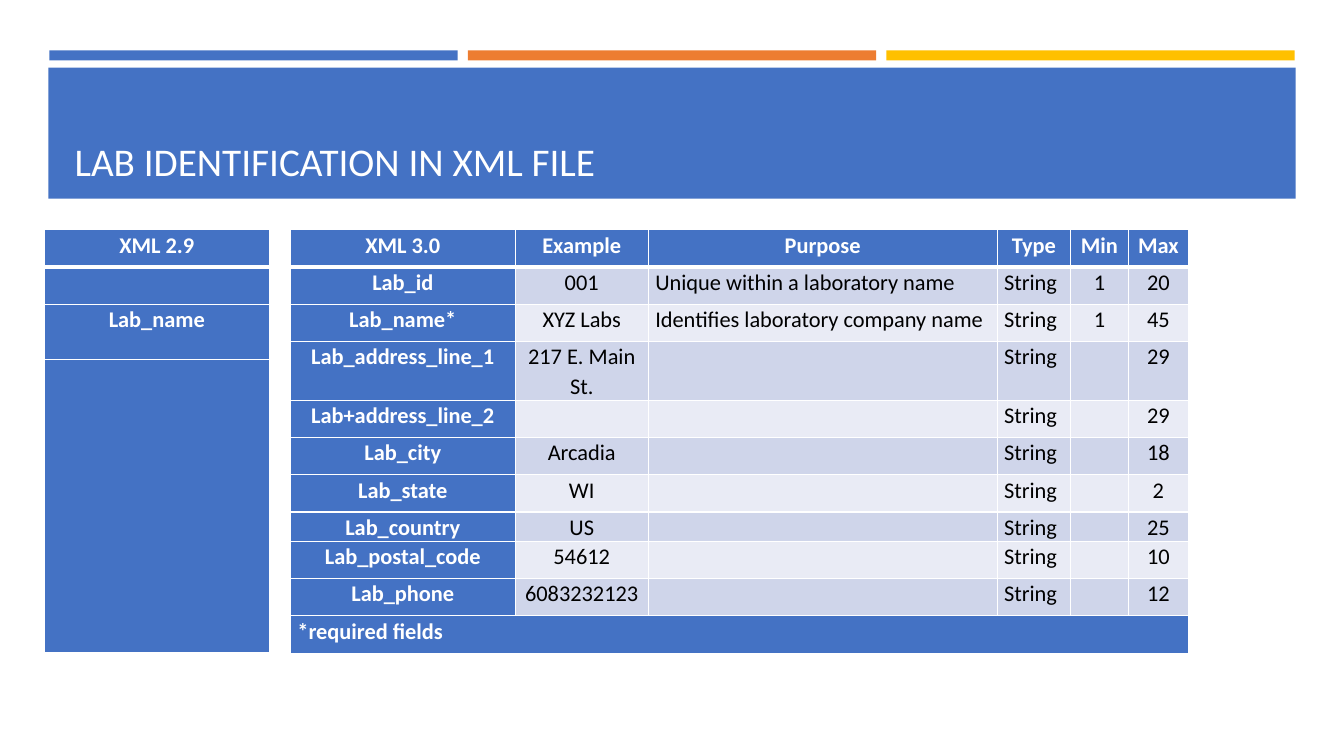
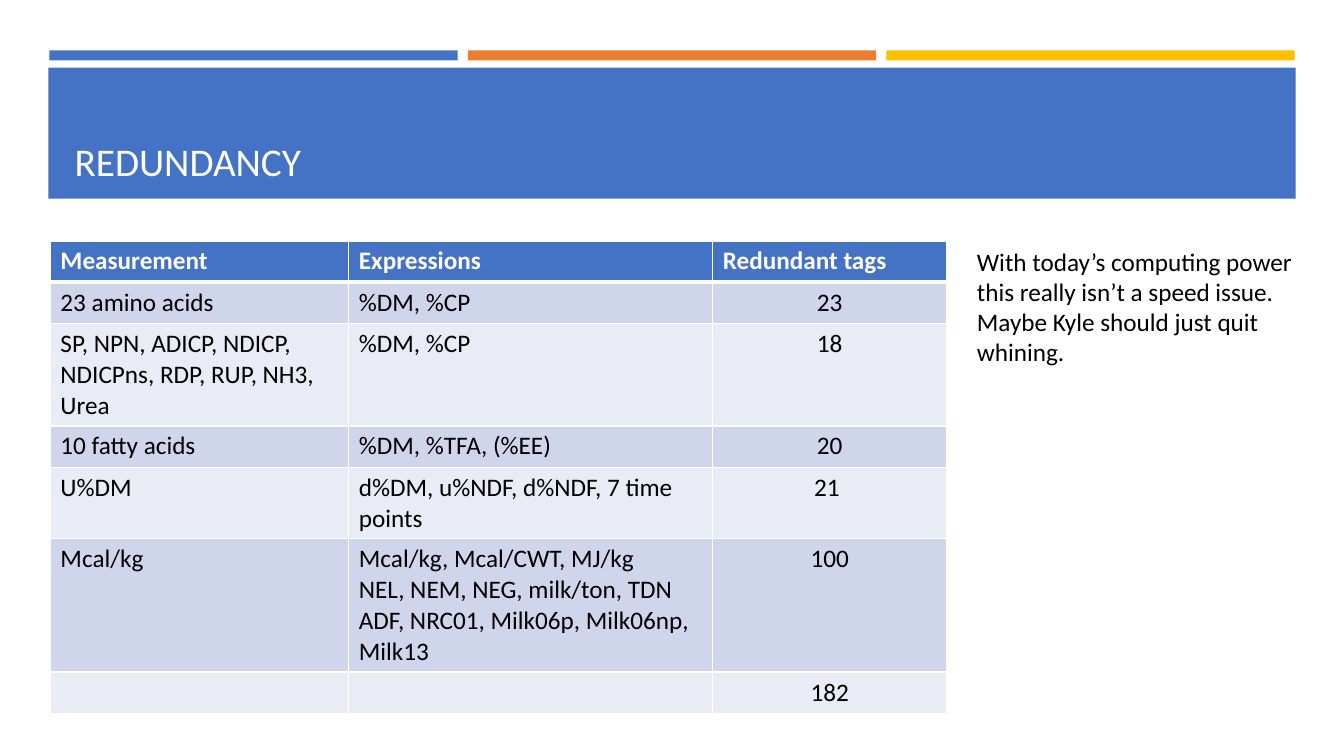
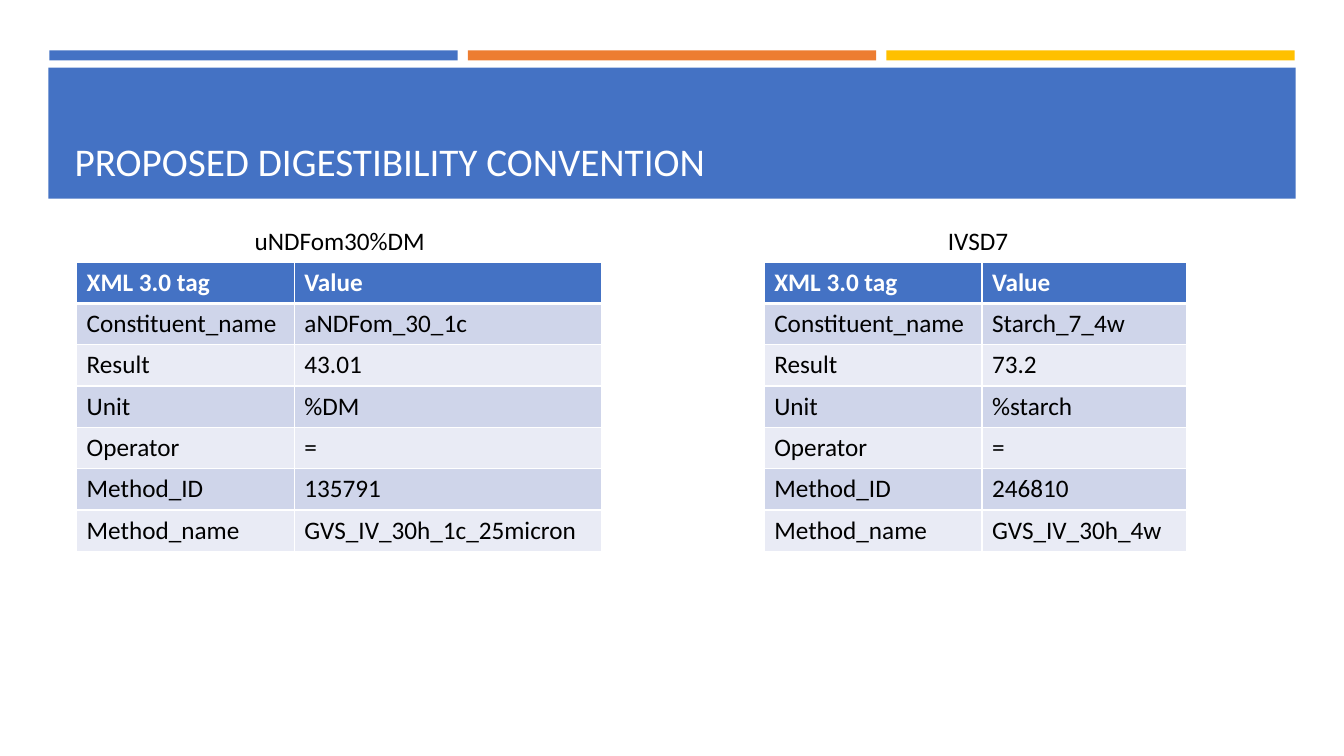
from dataclasses import dataclass

from lxml import etree
from pptx import Presentation
from pptx.dml.color import RGBColor
from pptx.enum.shapes import MSO_SHAPE, PP_PLACEHOLDER
from pptx.enum.text import MSO_ANCHOR, MSO_AUTO_SIZE, PP_ALIGN
from pptx.oxml.ns import qn
from pptx.util import Inches, Pt

RECTANGLE = MSO_SHAPE.RECTANGLE
TITLE = PP_PLACEHOLDER.TITLE
BOTTOM = MSO_ANCHOR.BOTTOM
FIXED_SIZE = MSO_AUTO_SIZE.NONE
GROW = MSO_AUTO_SIZE.SHAPE_TO_FIT_TEXT
ALIGN = {"l": PP_ALIGN.LEFT, "c": PP_ALIGN.CENTER}
TITLE_ONLY = 5


@dataclass(frozen=True)
class Theme:
    font: str = "Calibri"
    blue: str = "4472C4"
    orange: str = "ED7D31"
    gold: str = "FFC000"
    white: str = "FFFFFF"
    black: str = "000000"
    bands: tuple = ("E9EBF5", "CFD5EA")
    title_size: int = 28
    text_size: int = 18
    compact_size: int = 16
    border: int = 1
    header_border: int = 3


class Deck:
    """Holds the theme, the presentation and the slide being built."""

    def __init__(self, theme):
        self.theme = theme
        self.prs = Presentation()
        self.prs.slide_width = Inches(13.33)
        self.prs.slide_height = Inches(7.5)
        self.layout = self.prs.slide_layouts[TITLE_ONLY]
        self.slide = None

    def new_slide(self, title):
        self.slide = self.prs.slides.add_slide(self.layout)
        if len(self.prs.slides) == 1:
            self.furnish_layout()
        heading = self.slide.shapes.title
        place = dict(left=0.64, top=0.77, width=12.06, height=1.11)
        for side, length in place.items():
            setattr(heading, side, Inches(length))
        frame = heading.text_frame
        frame.auto_size = FIXED_SIZE
        frame.vertical_anchor = BOTTOM
        self.set_text(frame, title, self.theme.title_size, self.theme.white)

    def furnish_layout(self):
        """Put the coloured bands on the layout, behind its title."""
        for holder in list(self.layout.placeholders):
            if holder.placeholder_format.type != TITLE:
                self.layout.shapes.element.remove(holder.element)
        theme = self.theme
        for i, color in enumerate((theme.blue, theme.orange, theme.gold)):
            self.layout_band((0.49 + 4.15 * i, 0.5, 4.05, 0.1), color)
        self.layout_band((0.48, 0.67, 12.37, 1.3), theme.blue)

    def layout_band(self, at, color):
        band = self.slide.shapes.add_shape(RECTANGLE, *map(Inches, at))
        band.shadow.inherit = False
        band.fill.solid()
        band.fill.fore_color.rgb = RGBColor.from_string(color)
        band.line.fill.background()
        self.layout.shapes.element.insert(2, band.element)

    def set_text(self, frame, text, size, color, align="l", bold=False, spacing=None):
        paragraph = frame.paragraphs[0]
        paragraph.text = text
        paragraph.alignment = ALIGN[align]
        if spacing:
            paragraph.line_spacing = spacing
        style = dict(name=self.theme.font, size=Pt(size), bold=bold)
        for run in paragraph.runs or [paragraph.add_run()]:
            for key, value in style.items():
                setattr(run.font, key, value)
            run.font.color.rgb = RGBColor.from_string(color)

    def text(self, at, text, align="l"):
        frame = self.slide.shapes.add_textbox(*map(Inches, at)).text_frame
        frame.word_wrap = True
        frame.auto_size = GROW
        self.set_text(frame, text, self.theme.text_size, self.theme.black, align)

    def border_cell(self, cell, row):
        theme = self.theme
        widths = dict.fromkeys(("lnL", "lnR", "lnT", "lnB"), theme.border)
        if row < 2:
            widths["lnT" if row else "lnB"] = theme.header_border
        properties = cell._tc.get_or_add_tcPr()
        for side, width in widths.items():
            line = etree.SubElement(properties, qn(f"a:{side}"), w=str(Pt(width)))
            fill = etree.SubElement(line, qn("a:solidFill"))
            etree.SubElement(fill, qn("a:srgbClr"), val=theme.white)

    def table(self, left, top, widths, heights, rows, aligns,
              head_align="l", compact=False, labels=False):
        """Draw a banded table; labels makes column one a header column,
        and a row with a single text spans all columns as a footer."""
        theme = self.theme
        at = (left, top, sum(widths), sum(heights))
        grid = self.slide.shapes.add_table(
            len(rows), len(widths), *map(Inches, at)).table
        for column, width in zip(grid.columns, widths):
            column.width = Inches(width)
        for row, height in zip(grid.rows, heights):
            row.height = Inches(height)
        size = theme.compact_size if compact else theme.text_size
        margins = dict(margin_left=0.07, margin_right=0.07,
                       margin_top=0, margin_bottom=0) if compact else {}
        for r, texts in enumerate(rows):
            footer = len(texts) < len(widths)
            if footer:
                grid.cell(r, 0).merge(grid.cell(r, len(widths) - 1))
            for c, text in enumerate(texts):
                cell = grid.cell(r, c)
                strong = r == 0 or footer or (labels and c == 0)
                align = head_align if r == 0 else "l" if footer else aligns[c]
                for side, length in margins.items():
                    setattr(cell, side, Inches(length))
                self.border_cell(cell, r)
                cell.fill.solid()
                cell.fill.fore_color.rgb = RGBColor.from_string(
                    theme.blue if strong else theme.bands[r % 2])
                self.set_text(cell.text_frame, text, size,
                              theme.white if strong else theme.black,
                              align, strong, 1.07 if compact else None)


def lab_identification(deck):
    deck.new_slide("LAB IDENTIFICATION IN XML FILE")
    fields = [
        ("Lab_id", "001", "Unique within a laboratory name", "1", "20"),
        ("Lab_name*", "XYZ Labs", "Identifies laboratory company name", "1", "45"),
        ("Lab_address_line_1", "217 E. Main St.", "", "", "29"),
        ("Lab+address_line_2", "", "", "", "29"),
        ("Lab_city", "Arcadia", "", "", "18"),
        ("Lab_state", "WI", "", "", "2"),
        ("Lab_country", "US", "", "", "25"),
        ("Lab_postal_code", "54612", "", "", "10"),
        ("Lab_phone", "6083232123", "", "", "12"),
    ]
    rows = [("XML 3.0", "Example", "Purpose", "Type", "Min", "Max")]
    rows += [(*field[:3], "String", *field[3:]) for field in fields]
    rows.append(("*required fields",))
    shared = dict(head_align="c", compact=True, labels=True)
    deck.table(2.88, 2.28, (2.23, 1.32, 3.46, 0.73, 0.57, 0.6),
               [0.37] * 7 + [0.28] + [0.37] * 3, rows, "ccllcc", **shared)
    deck.table(0.44, 2.28, (2.23,), (0.37, 0.37, 0.55, 2.9),
               [("XML 2.9",), ("",), ("Lab_name",), ("",)], "c", **shared)


def redundancy(deck):
    deck.new_slide("REDUNDANCY")
    rows = [
        ("Measurement", "Expressions", "Redundant tags"),
        ("23 amino acids", "%DM, %CP", "23"),
        ("SP, NPN, ADICP, NDICP, NDICPns, RDP, RUP, NH3, Urea", "%DM, %CP", "18"),
        ("10 fatty acids", "%DM, %TFA, (%EE)", "20"),
        ("U%DM", "d%DM, u%NDF, d%NDF, 7 time points", "21 "),
        ("Mcal/kg", "Mcal/kg, Mcal/CWT, MJ/kg\nNEL, NEM, NEG, milk/ton, TDN\n"
                    "ADF, NRC01, Milk06p, Milk06np, Milk13", "100"),
        ("", "", "182"),
    ]
    deck.table(0.5, 2.39, (2.96, 3.61, 2.32), [0.41] * len(rows), rows, "llc")
    deck.text((9.59, 2.39, 3.42, 1.31),
              "With today’s computing power this really isn’t a speed issue. "
              "Maybe Kyle should just quit whining.")


def digestibility(deck):
    deck.new_slide("PROPOSED DIGESTIBILITY CONVENTION")
    tags = ("XML 3.0 tag", "Constituent_name", "Result", "Unit", "Operator",
            "Method_ID", "Method_name")
    examples = [
        ("uNDFom30%DM", 0.54, 0.76, 3.05,
         ("Value", "aNDFom_30_1c", "43.01", "%DM", "=", "135791",
          "GVS_IV_30h_1c_25micron")),
        ("IVSD7", 6.87, 7.58, 2.03,
         ("Value", "Starch_7_4w", "73.2", "%starch", "=", "246810",
          "GVS_IV_30h_4w")),
    ]
    for caption, caption_left, left, value_width, values in examples:
        deck.table(left, 2.6, (2.16, value_width), [0.41] * len(tags),
                   list(zip(tags, values)), "ll")
        deck.text((caption_left, 2.19, 5.66, 0.4), caption, "c")


def main():
    deck = Deck(Theme())
    for build in (lab_identification, redundancy, digestibility):
        build(deck)
    deck.prs.save("out.pptx")


if __name__ == "__main__":
    main()
